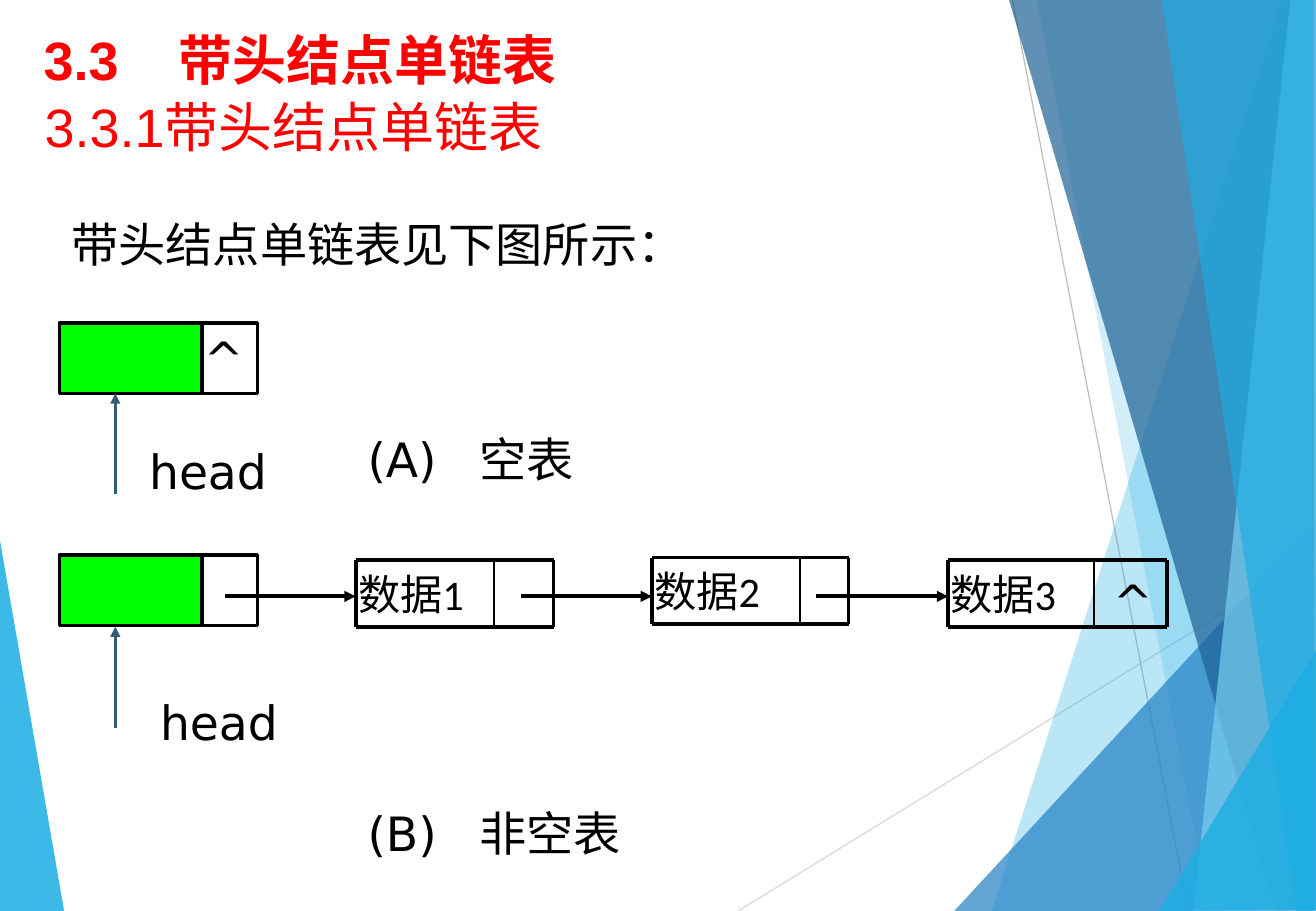
"""Build the slide on singly linked lists with a head node."""
import pptx
import pptx.dml.color
import pptx.enum.lang
import pptx.enum.shapes
import pptx.enum.text
import pptx.oxml.ns
import pptx.util
from lxml import etree

SCALE = 9144
WIDTH, HEIGHT = 1084, 750
BLACK, RED, GREEN, SLATE = "000000", "FF0000", "00FF00", "335B74"

HEADING = ("3.3\t带头结点单链表", (26, 17, 975, 53), 111)
FACETS_BEHIND = [("1CADE4", 85, [(-1, 439), (53, 751), (-1, 750)])]
THIN_RAYS = [((608, 750), (1085, 457), "D9D9D9"), ((834, 0), (979, 750), "BFBFBF")]
FACETS = [
    ("1CADE4", 30, [(1056, 0), (817, 750), (1085, 751), (1084, 1)]),
    ("1CADE4", 20, [(854, -1), (996, 750), (1084, 750), (1084, -1)]),
    ("2683C6", 72, [(786, 750), (1083, 429), (1084, 750)]),
    ("1D6295", 70, [(831, -1), (1051, 750), (1085, 749), (1085, -1)]),
    ("77CEEF", 70, [(1063, -1), (983, 750), (1085, 750), (1084, -1)]),
    ("1CADE4", 65, [(957, -1), (1068, 750), (1083, 750), (1082, -1)]),
    ("1CADE4", 80, [(955, 750), (1084, 535), (1085, 749)]),
]
SENTENCES = [
    ("3.3.1带头结点单链表", (27, 72, 533, 64), 32, RED),
    ("带头结点单链表见下图所示：", (49, 172, 1002, 57), 28, BLACK),
]
DATA_NODES = [
    ("数据1", 293, 461, 407, 456),
    ("数据2", 537, 459, 659, 699),
    ("数据3", 781, 461, 901, 961),
]
NODE_HEIGHT = 55
HEAD_NODE_TOPS = [266, 457]
HEAD_CELLS = [(49, 117, GREEN), (167, 45, None)]
HEAD_CELL_HEIGHT = 58
NEXT_LINKS = [(185, 293), (429, 537), (672, 781)]
LINK_Y = 491
HEAD_POINTERS = [(407, 324), (599, 516)]
POINTER_X = 95
LABELS = [
    ("head", (122, 566, 235, 57)),
    ("head", (113, 359, 235, 57)),
    ("(A)\t空表", (293, 349, 524, 57)),
    ("(B)\t非空表", (293, 657, 524, 57)),
    ("^", (158, 266, 45, 57)),
    ("^", (907, 466, 45, 57)),
]
LABEL_TAB = 92


def px(length):
    """Turn px into EMU."""
    return pptx.util.Emu(length * SCALE)


def colour(value):
    """Turn a hex string into a colour."""
    return pptx.dml.color.RGBColor.from_string(value)


def assign(target, values):
    """Set every attribute held in a dict."""
    for key, value in values.items():
        setattr(target, key, value)


def child(parent, tag, **attributes):
    """Add one drawing element under a parent."""
    return etree.SubElement(parent, pptx.oxml.ns.qn(tag), attributes)


def write(frame, words, font, size, hue, tab=None, bold=False, **layout):
    """Fill a text frame with one formatted paragraph."""
    assign(frame, {"word_wrap": True,
                   "vertical_anchor": pptx.enum.text.MSO_ANCHOR.TOP, **layout})
    paragraph = frame.paragraphs[0]
    paragraph.alignment = pptx.enum.text.PP_ALIGN.LEFT
    run = paragraph.add_run()
    run.text = words
    assign(run.font, {"name": font, "size": pptx.util.Pt(size), "bold": bold,
                      "language_id": pptx.enum.lang.MSO_LANGUAGE_ID.SIMPLIFIED_CHINESE})
    run.font.color.rgb = colour(hue)
    if tab:
        stops = child(paragraph._p.get_or_add_pPr(), "a:tabLst")
        child(stops, "a:tab", pos=str(px(tab)), algn="l")


def add_words(slide, words, box, *style, **layout):
    """Add a text box."""
    frame = slide.shapes.add_textbox(*map(px, box)).text_frame
    write(frame, words, *style, **layout)


def add_line(slide, start, end, hue, weight, arrow=False):
    """Add a straight line, with an arrowhead at its end if asked."""
    line = slide.shapes.add_connector(
        pptx.enum.shapes.MSO_CONNECTOR.STRAIGHT, *map(px, start + end))
    line.line.color.rgb = colour(hue)
    line.line.width = pptx.util.Pt(weight)
    if arrow:
        child(line.line._get_or_add_ln(), "a:tailEnd", type="triangle")
    child(line._element.spPr, "a:effectLst")


def add_facet(slide, hue, opacity, corners):
    """Add one translucent polygon."""
    builder = slide.shapes.build_freeform(*corners[0], scale=SCALE)
    builder.add_line_segments(corners[1:], close=True)
    facet = builder.convert_to_shape()
    facet.shadow.inherit = False
    facet.line.fill.background()
    facet.fill.solid()
    facet.fill.fore_color.rgb = colour(hue)
    tint = facet._element.spPr.find(".//" + pptx.oxml.ns.qn("a:srgbClr"))
    child(tint, "a:alpha", val=str(opacity * 1000))


def add_data_node(slide, words, left, top, divider, right):
    """Add a data node with its frame and divider."""
    bottom = top + NODE_HEIGHT
    add_words(slide, words, (left, top, divider - left, NODE_HEIGHT),
              "Calibri", 25, BLACK,
              vertical_anchor=pptx.enum.text.MSO_ANCHOR.MIDDLE,
              margin_left=px(2), margin_right=px(2), margin_top=px(4), margin_bottom=px(4))
    for y in (top, bottom):
        add_line(slide, (left, y), (right, y), BLACK, 2.25)
    for x, weight in ((left, 2.25), (divider, 1), (right, 2.25)):
        add_line(slide, (x, top), (x, bottom), BLACK, weight)


def add_head_cell(slide, left, top, width, hue):
    """Add one cell of a head node."""
    cell = slide.shapes.add_shape(pptx.enum.shapes.MSO_SHAPE.RECTANGLE,
                                  *map(px, (left, top, width, HEAD_CELL_HEIGHT)))
    cell.shadow.inherit = False
    cell.line.color.rgb = colour(BLACK)
    cell.line.width = pptx.util.Pt(2)
    if hue:
        cell.fill.solid()
        cell.fill.fore_color.rgb = colour(hue)
    else:
        cell.fill.background()


def main():
    """Draw the slide and save it."""
    deck = pptx.Presentation()
    assign(deck, {"slide_width": px(WIDTH), "slide_height": px(HEIGHT)})
    slide = deck.slides.add_slide(deck.slide_layouts[5])

    words, box, tab = HEADING
    heading = slide.shapes.title
    assign(heading, dict(zip(("left", "top", "width", "height"), map(px, box))))
    write(heading.text_frame, words, "Arial", 32, RED, tab, True,
          auto_size=pptx.enum.text.MSO_AUTO_SIZE.NONE)

    for facet in FACETS_BEHIND:
        add_facet(slide, *facet)
    for start, end, hue in THIN_RAYS:
        add_line(slide, start, end, hue, 0.75)
    for facet in FACETS:
        add_facet(slide, *facet)

    grow = pptx.enum.text.MSO_AUTO_SIZE.SHAPE_TO_FIT_TEXT
    for words, box, size, hue in SENTENCES:
        add_words(slide, words, box, "Arial", size, hue, auto_size=grow)
    for node in DATA_NODES:
        add_data_node(slide, *node)
    for top in HEAD_NODE_TOPS:
        for left, width, hue in HEAD_CELLS:
            add_head_cell(slide, left, top, width, hue)
    for start, end in NEXT_LINKS:
        add_line(slide, (start, LINK_Y), (end, LINK_Y), BLACK, 2.25, True)
    for start, end in HEAD_POINTERS:
        add_line(slide, (POINTER_X, start), (POINTER_X, end), SLATE, 2, True)
    for words, box in LABELS:
        add_words(slide, words, box, "DejaVu Sans", 28, BLACK,
                  LABEL_TAB if "\t" in words else None, auto_size=grow)
    deck.save("out.pptx")


if __name__ == "__main__":
    main()
